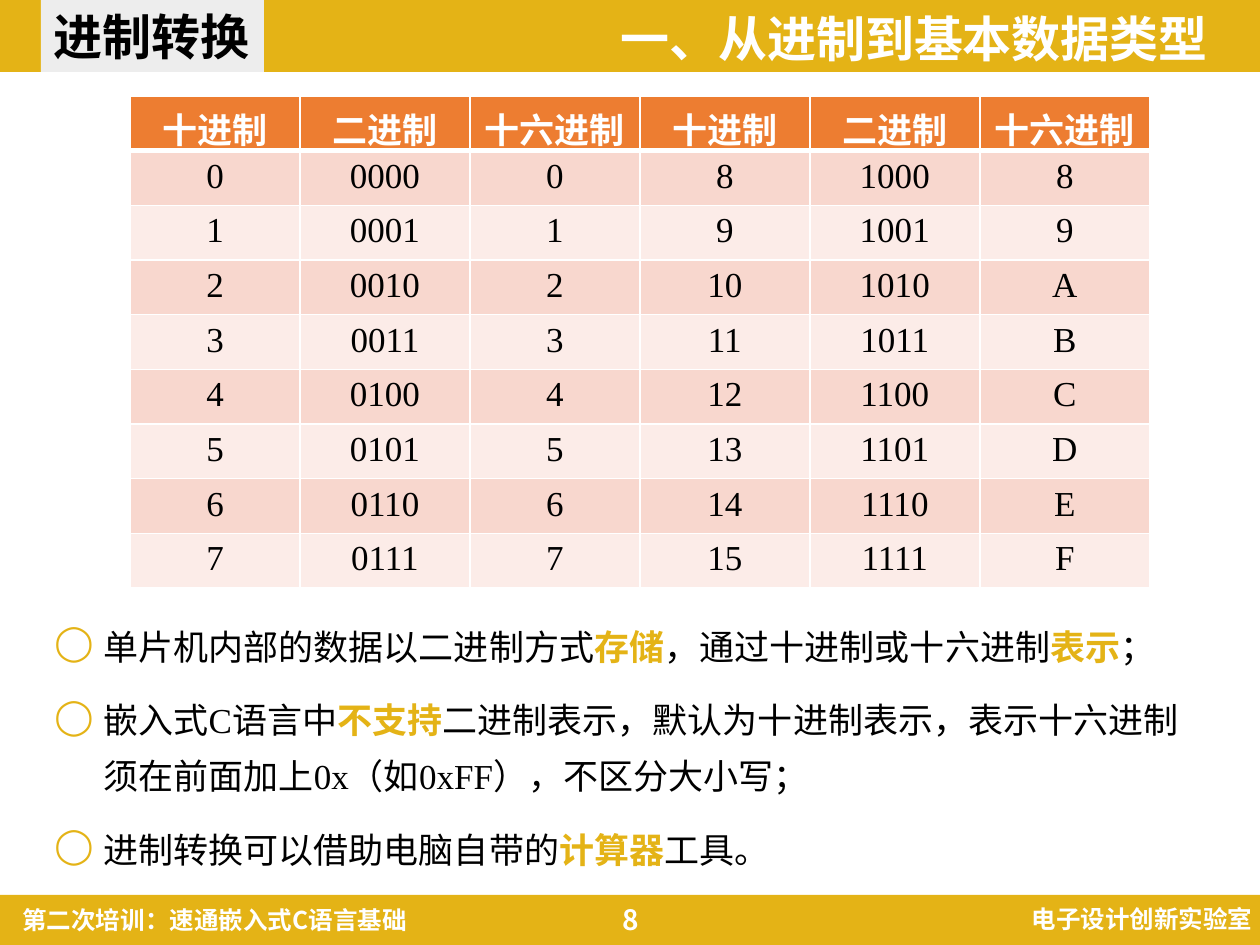
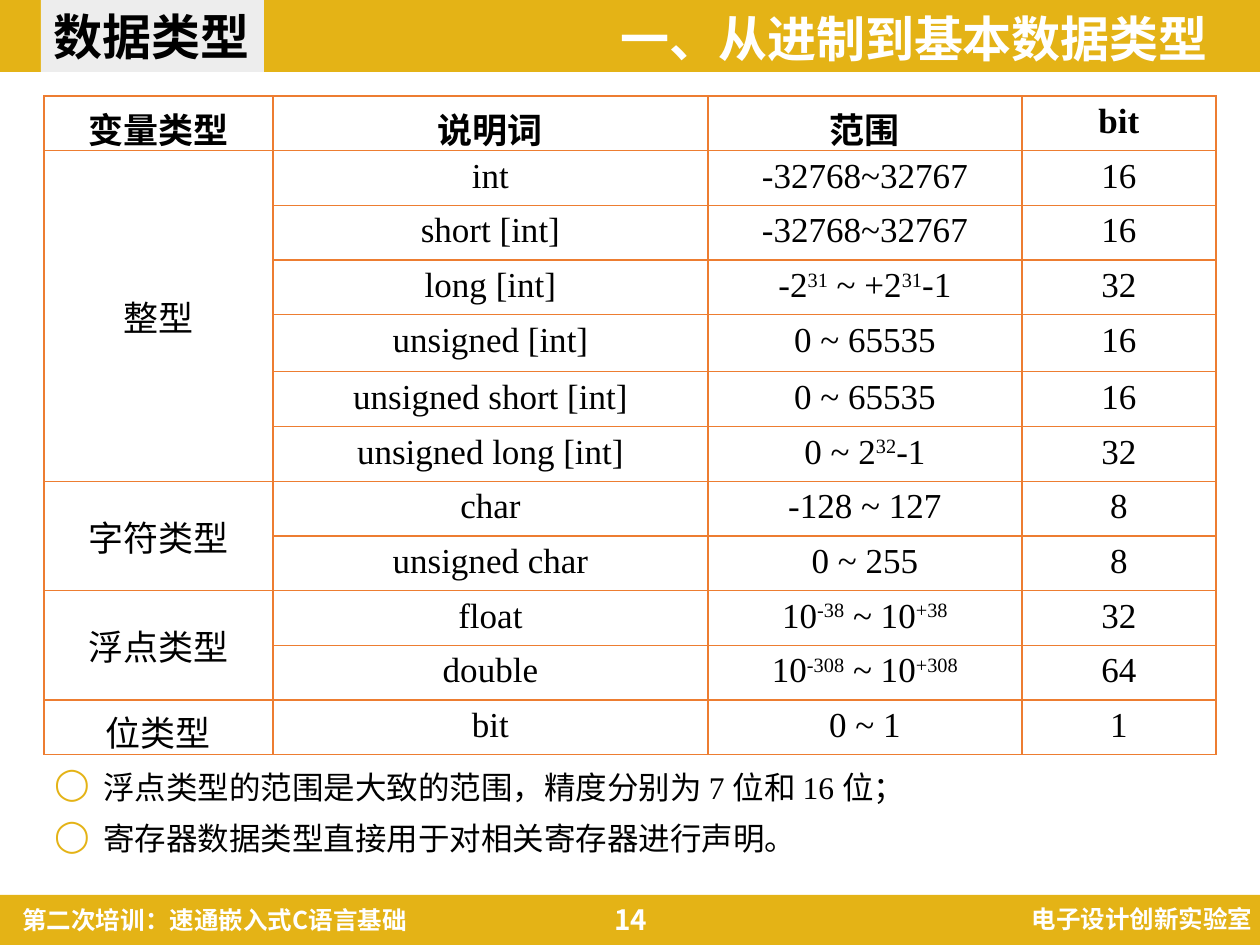
import pptx
import pptx.dml.color
import pptx.enum.shapes
import pptx.enum.text
import pptx.oxml
import pptx.oxml.ns
import pptx.util
import lxml.etree


class Theme:
    gold, pale, white, black = "E4B316", "EDEDED", "FFFFFF", "000000"
    orange, rose, blush = "ED7D31", "F8D7CE", "FCECE8"
    sans, serif = "Noto Sans CJK SC", "Times New Roman"
    title, cell, note, page, foot = 28, 20, 18, 16, 14


PX = 914400 // 126
ALIGN = pptx.enum.text.PP_ALIGN
MID = pptx.enum.text.MSO_ANCHOR.MIDDLE
RECT = pptx.enum.shapes.MSO_SHAPE.RECTANGLE
qn = pptx.oxml.ns.qn


def write(frame, lines, face, size, color, bold=False, mark="accent", bullet=False, **form):
    """Fill a frame; pieces between bars become accents or superscripts."""
    for i, line in enumerate(lines):
        para = frame.paragraphs[0] if i == 0 else frame.add_paragraph()
        for key, value in form.items():
            setattr(para, key, value)
        if bullet:
            props = para._p.get_or_add_pPr()
            props.set("marL", str(49 * PX))
            props.set("indent", str(-49 * PX))
            tint = lxml.etree.SubElement(props, qn("a:buClr"))
            lxml.etree.SubElement(tint, qn("a:srgbClr")).set("val", Theme.gold)
            lxml.etree.SubElement(props, qn("a:buChar")).set("char", "◯")
            if i:
                para.space_before = pptx.util.Pt(10)
        for n, piece in enumerate(line.split("|")):
            if not piece:
                continue
            run = para.add_run()
            run.text = piece
            accent = n % 2 == 1 and mark == "accent"
            look = {"name": face, "size": pptx.util.Pt(size), "bold": bold or accent}
            for key, value in look.items():
                setattr(run.font, key, value)
            run.font.color.rgb = pptx.dml.color.RGBColor.from_string(
                Theme.gold if accent else color)
            props = run._r.get_or_add_rPr()
            lxml.etree.SubElement(props, qn("a:ea")).set("typeface", Theme.sans)
            if n % 2 and mark == "super":
                props.set("baseline", "30000")


def place(slide, spot, fill=None):
    """Add a filled band, or a wrapping text box when no fill is given."""
    spot = [v * PX for v in spot]
    if fill is None:
        shape = slide.shapes.add_textbox(*spot)
    else:
        shape = slide.shapes.add_shape(RECT, *spot)
        shape.shadow.inherit = False
        shape.fill.solid()
        shape.fill.fore_color.rgb = pptx.dml.color.RGBColor.from_string(fill)
        shape.line.fill.background()
    shape.text_frame.word_wrap = fill is None
    return shape.text_frame


digits = [["十进制", "二进制", "十六进制"] * 2]
digits += [[str(n), f"{n:04b}", f"{n:X}", str(n + 8), f"{n + 8:04b}", f"{n + 8:X}"]
           for n in range(8)]

kinds = [
    ["变量类型", "说明词", "范围", "bit"],
    ["整型", "int", "-32768~32767", "16"],
    ["", "short [int]", "-32768~32767", "16"],
    ["", "long [int]", "-2|31| ~ +2|31|-1", "32"],
    ["", "unsigned [int]", "0 ~ 65535", "16"],
    ["", "unsigned short [int]", "0 ~ 65535", "16"],
    ["", "unsigned long [int]", "0 ~ 2|32|-1", "32"],
    ["字符类型", "char", "-128 ~ 127", "8"],
    ["", "unsigned char", "0 ~ 255", "8"],
    ["浮点类型", "float", "10|-38| ~ 10|+38|", "32"],
    ["", "double", "10|-308| ~ 10|+308|", "64"],
    ["位类型", "bit", "0 ~ 1", "1"],
]

pages = [
    dict(name="进制转换", page="8", rows=digits, left=130, wide=[170] * 6, tall=[45] * 9,
         edge=Theme.white, head=Theme.white, merge=[],
         fills=[Theme.orange] + [Theme.rose, Theme.blush] * 4,
         spot=(42, 605, 1178, 289), size=Theme.cell, pitch=pptx.util.Pt(32),
         notes=["单片机内部的数据以二进制方式|存储|，通过十进制或十六进制|表示|；",
                "嵌入式C语言中|不支持|二进制表示，默认为十进制表示，"
                "表示十六进制须在前面加上0x（如0xFF），不区分大小写；",
                "进制转换可以借助电脑自带的|计算器|工具。"]),
    dict(name="数据类型", page="14", rows=kinds, left=44, wide=[229, 435, 314, 194],
         tall=[45, 45, 45, 50, 57, 55] + [45] * 6,
         edge=Theme.orange, head=Theme.black, merge=[(1, 6), (7, 8), (9, 10)],
         fills=[None] * 12,
         spot=(42, 766, 1178, 103), size=Theme.note, pitch=0.9,
         notes=["浮点类型的范围是大致的范围，精度分别为 7 位和 16 位；",
                "寄存器数据类型直接用于对相关寄存器进行声明。"]),
]

deck = pptx.Presentation()
deck.slide_width, deck.slide_height = 1260 * PX, 945 * PX

for page in pages:
    slide = deck.slides.add_slide(deck.slide_layouts[6])

    # Bands, titles and footer
    place(slide, (0, 895, 1260, 50), Theme.gold)
    place(slide, (0, 0, 1260, 72), Theme.gold)
    white = dict(face=Theme.sans, color=Theme.white, bold=True)
    write(place(slide, (869, 898, 396, 43)), ["电子设计创新实验室"],
          size=Theme.foot, alignment=ALIGN.RIGHT, **white)
    write(place(slide, (10, 899, 503, 43)), ["第二次培训：速通嵌入式C语言基础"],
          size=Theme.foot, **white)
    count = place(slide, (553, 894, 155, 50))
    count.vertical_anchor = MID
    write(count, [page["page"]], size=Theme.page, alignment=ALIGN.CENTER, **white)
    write(place(slide, (553, 9, 667, 58)), ["一、从进制到基本数据类型"],
          size=Theme.title, alignment=ALIGN.RIGHT, line_spacing=0.9, **white)
    label = place(slide, (41, 0, 223, 72), Theme.pale)
    label.vertical_anchor = MID
    write(label, [page["name"]], Theme.sans, Theme.title, Theme.black, True,
          alignment=ALIGN.LEFT)

    # Notes
    write(place(slide, page["spot"]), page["notes"], Theme.serif, page["size"],
          Theme.black, bullet=True, line_spacing=page["pitch"])

    # Table
    rows, wide, tall = page["rows"], page["wide"], page["tall"]
    table = slide.shapes.add_table(len(rows), len(wide), page["left"] * PX, 96 * PX,
                                   sum(wide) * PX, sum(tall) * PX).table
    table.first_row = table.horz_banding = False
    for col, width in zip(table.columns, wide):
        col.width = width * PX
    for r, row in enumerate(rows):
        table.rows[r].height = tall[r] * PX
        for c, text in enumerate(row):
            cell = table.cell(r, c)
            if page["fills"][r]:
                cell.fill.solid()
                cell.fill.fore_color.rgb = pptx.dml.color.RGBColor.from_string(
                    page["fills"][r])
            else:
                cell.fill.background()
            props = cell._tc.get_or_add_tcPr()
            for n, side in enumerate("LRTB"):
                thick = page["edge"] == Theme.white and (
                    (r == 0 and side == "B") or (r == 1 and side == "T"))
                props.insert(n, pptx.oxml.parse_xml(
                    f'<a:ln{side} {pptx.oxml.ns.nsdecls("a")} w="{38100 if thick else 12700}">'
                    f'<a:solidFill><a:srgbClr val="{page["edge"]}"/></a:solidFill></a:ln{side}>'))
            write(cell.text_frame, [text], Theme.serif, Theme.cell,
                  Theme.black if r else page["head"], r == 0, "super",
                  alignment=ALIGN.CENTER)
    for top, end in page["merge"]:
        cell = table.cell(top, 0)
        cell.merge(table.cell(end, 0))
        cell.vertical_anchor = MID

deck.save("out.pptx")
